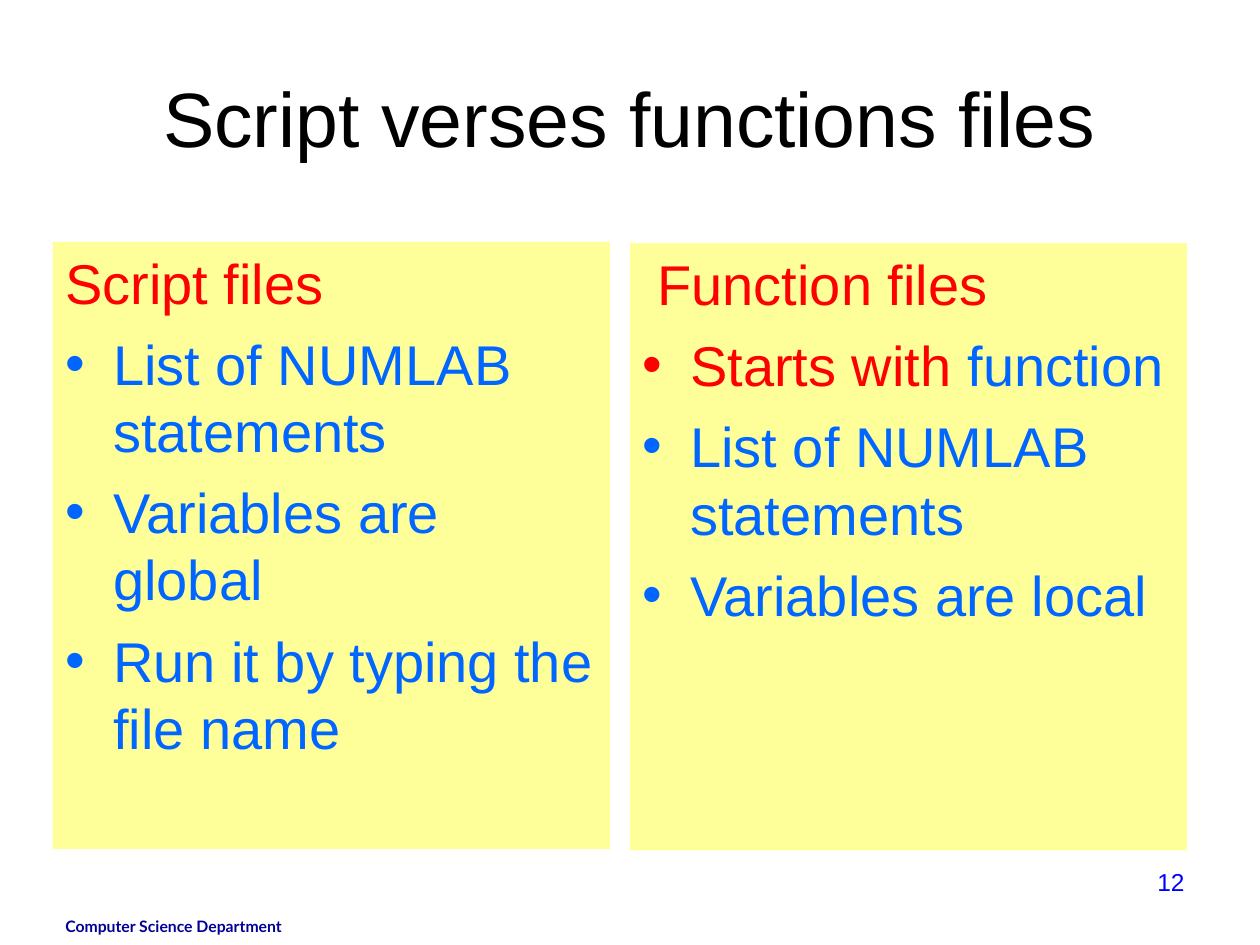
from lxml.etree import SubElement
from pptx import Presentation
from pptx.dml.color import RGBColor
from pptx.enum.shapes import MSO_SHAPE as Shape
from pptx.enum.text import MSO_ANCHOR as Anchor, PP_ALIGN as Align
from pptx.oxml.ns import qn
from pptx.util import Inches, Pt

BLUE, RED, YELLOW = "0066FF", "FF0000", "FFFF99"
COLUMNS, ROWS = 100, 75  # grid units across and down the slide
HANGING = Inches(0.38)


def color(hex_string):
    return RGBColor.from_string(hex_string)


class SlideBuilder:
    font, body_size, gap = "Arial", 32, 8

    def __init__(self, deck):
        self.deck = deck
        self.slide = deck.slides.add_slide(deck.slide_layouts[6])

    def place(self, left, top, width, height):
        """Turn grid columns and rows into slide lengths."""
        column = self.deck.slide_width / COLUMNS
        row = self.deck.slide_height / ROWS
        return [round(n * unit) for n, unit in
                zip((left, top, width, height), (column, row, column, row))]

    def style(self, para, size, name=None, bold=False):
        para.font.name = name or self.font
        para.font.size = Pt(size)
        para.font.bold = bold

    def label(self, area, text, size, ink, align=Align.LEFT,
              anchor=Anchor.TOP, name=None, bold=False):
        frame = self.slide.shapes.add_textbox(*self.place(*area)).text_frame
        frame.word_wrap = True
        frame.vertical_anchor = anchor
        para = frame.paragraphs[0]
        para.text = text
        para.alignment = align
        self.style(para, size, name, bold)
        para.font.color.rgb = color(ink)

    def bullet(self, para, ink):
        props = para._p.get_or_add_pPr()
        props.set("marL", str(HANGING))
        props.set("indent", str(-HANGING))
        tint = SubElement(props, qn("a:buClr"))
        SubElement(tint, qn("a:srgbClr"), val=ink)
        SubElement(props, qn("a:buFont"), typeface=self.font)
        SubElement(props, qn("a:buChar"), char="•")

    def panel(self, area, heading, items, heading_indent=0):
        """Filled box with a red heading; each item is a list of (text, colour)."""
        box = self.slide.shapes.add_shape(Shape.RECTANGLE, *self.place(*area))
        box.shadow.inherit = False
        box.fill.solid()
        box.fill.fore_color.rgb = color(YELLOW)
        box.line.fill.background()
        frame = box.text_frame
        frame.word_wrap = True
        frame.vertical_anchor = Anchor.TOP
        for index, spans in enumerate([[(heading, RED)], *items]):
            para = frame.add_paragraph() if index else frame.paragraphs[0]
            if index:
                self.bullet(para, spans[0][1])
                para.space_before = Pt(self.gap)
            else:
                para._p.get_or_add_pPr().set("marL", str(Inches(heading_indent)))
            para.alignment = Align.LEFT
            self.style(para, self.body_size)
            for text, ink in spans:
                span = para.add_run()
                span.text = text
                span.font.color.rgb = color(ink)


def main():
    deck = Presentation()
    deck.slide_width, deck.slide_height = Inches(10), Inches(7.5)
    page = SlideBuilder(deck)

    # Footer and title
    page.label((4.2, 72.3, 23.3, 2.7), "Computer Science Department", 9, "000099",
               name="Lato", bold=True)
    page.label((5, 3, 90, 12.5), "Script verses functions files", 44, "000000",
               Align.CENTER, Anchor.MIDDLE)

    # The two kinds of file, side by side
    statements = [("List of NUMLAB statements", BLUE)]
    page.panel((4.2, 19.2, 44.2, 48.2), "Script files", [
        statements,
        [("Variables are global", BLUE)],
        [("Run it by typing the file name", BLUE)],
    ])
    page.panel((50, 19.3, 44.2, 48.2), "Function files", [
        [("Starts with ", RED), ("function", BLUE)],
        statements,
        [("Variables are local", BLUE)],
    ], heading_indent=0.12)

    # Page number
    page.label((71.7, 68.3, 23.3, 5.2), "12", 14, "0000FF", Align.RIGHT)
    deck.save("out.pptx")


if __name__ == "__main__":
    main()
